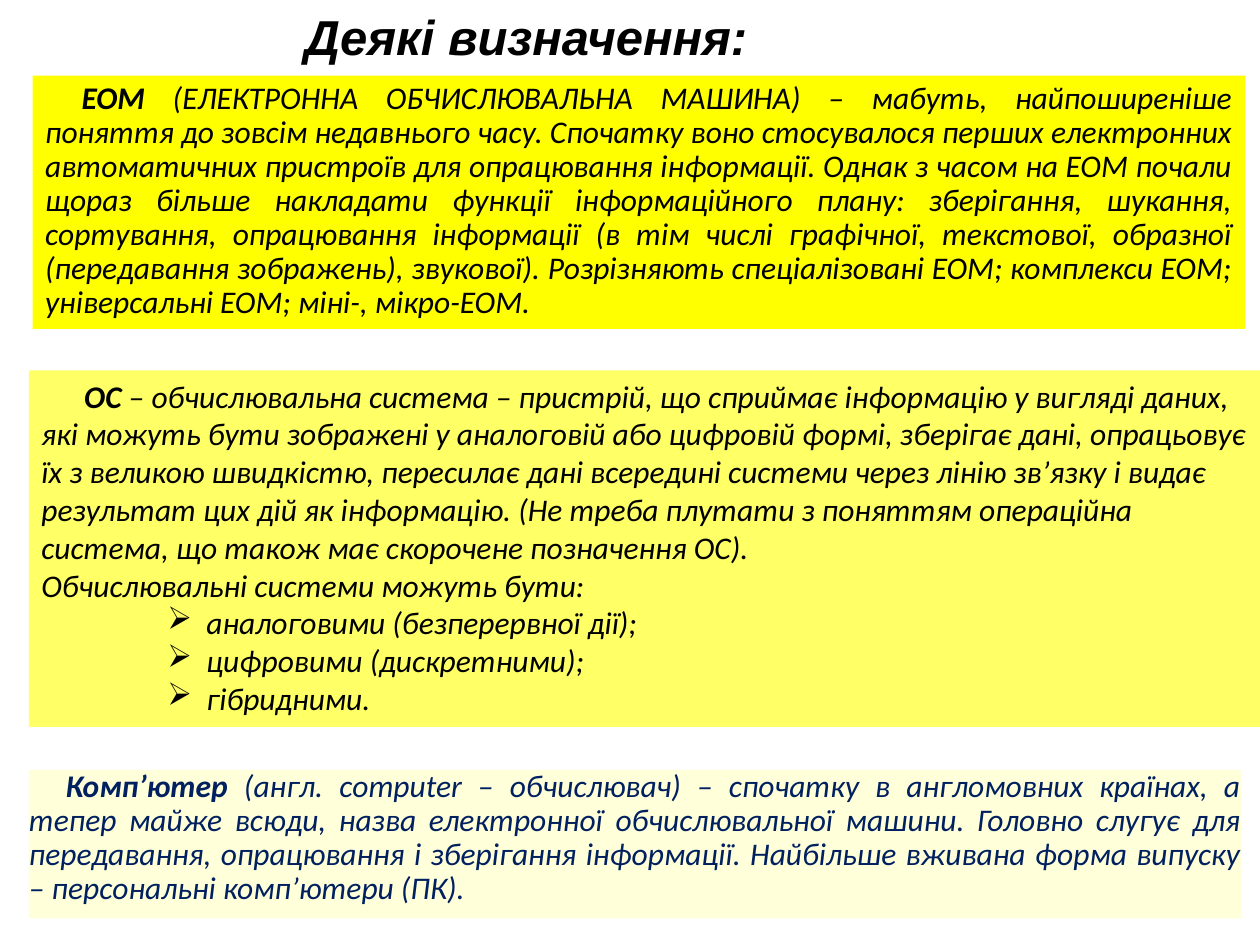
from lxml import etree
from pptx import Presentation
from pptx.dml.color import RGBColor
from pptx.enum.shapes import MSO_SHAPE
from pptx.enum.text import MSO_ANCHOR, PP_ALIGN
from pptx.oxml.ns import qn
from pptx.util import Inches, Pt

RECT = MSO_SHAPE.RECTANGLE
TOP = MSO_ANCHOR.TOP
LEFT, JUSTIFY = PP_ALIGN.LEFT, PP_ALIGN.JUSTIFY

COLORS = {
    "black": "000000",
    "navy": "002060",
    "yellow": "FFFF00",
    "lemon": "FFFF66",
    "cream": "FFFFD9",
}

# Paragraph formats: alignment, line spacing, left margin, first-line indent, bullet
JUSTIFIED = dict(align=JUSTIFY, spacing=0.9, margin=0, indent=0.29, bullet=None)
OPENING = dict(align=LEFT, spacing=1.0, margin=0, indent=0.34, bullet=None)
PLAIN = dict(OPENING, indent=0)
BULLETED = dict(OPENING, margin=1.31, indent=-0.31, bullet="➢")


def add_paragraphs(tf, paragraphs, color, size=18, font="Calibri"):
    """Fill a text frame; each paragraph is (format, bold term, regular text)."""
    for i, (fmt, term, text) in enumerate(paragraphs):
        p = tf.paragraphs[0] if i == 0 else tf.add_paragraph()
        p.alignment = fmt["align"]
        p.line_spacing = fmt["spacing"]
        pPr = p._p.get_or_add_pPr()
        pPr.set("marL", str(Inches(fmt["margin"])))
        pPr.set("indent", str(Inches(fmt["indent"])))
        if fmt["bullet"]:
            etree.SubElement(pPr, qn("a:buChar")).set("char", fmt["bullet"])
        for content, bold in ((term, True), (text, False)):
            if not content:
                continue
            r = p.add_run()
            r.text = content
            style = dict(name=font, size=Pt(size), bold=bold, italic=True)
            for name, value in style.items():
                setattr(r.font, name, value)
            r.font.color.rgb = RGBColor.from_string(COLORS[color])


prs = Presentation()
prs.slide_width, prs.slide_height = Inches(10), Inches(7.5)
s = prs.slides.add_slide(prs.slide_layouts[6])

# Title
title = s.shapes.add_textbox(Inches(2.32), Inches(0), Inches(5.51), Inches(0.57))
title.text_frame.word_wrap = True
add_paragraphs(title.text_frame, [(PLAIN, "Деякі визначення:", "")],
               "black", size=28, font="Arial")

# Definitions: box, fill, text colour, side and top insets, paragraphs
definitions = [
    ((0.26, 0.6, 9.62, 2.01), "yellow", "black", (0.1, 0.05), [
        (JUSTIFIED, "ЕОМ",
         " (ЕЛЕКТРОННА ОБЧИСЛЮВАЛЬНА МАШИНА) – мабуть, найпоширеніше поняття "
         "до зовсім недавнього часу. Спочатку воно стосувалося перших "
         "електронних автоматичних пристроїв для опрацювання інформації. "
         "Однак з часом на ЕОМ почали щораз більше накладати функції "
         "інформаційного плану: зберігання, шукання, сортування, опрацювання "
         "інформації (в тім числі графічної, текстової, образної (передавання "
         "зображень), звукової). Розрізняють спеціалізовані ЕОМ; комплекси "
         "ЕОМ; універсальні ЕОМ; міні-, мікро-ЕОМ."),
    ]),
    ((0.23, 2.94, 9.78, 2.83), "lemon", "black", (0.1, 0.05), [
        (OPENING, "ОС ",
         "– обчислювальна система – пристрій, що сприймає інформацію у вигляді "
         "даних, які можуть бути зображені у аналоговій або цифровій формі, "
         "зберігає дані, опрацьовує їх з великою швидкістю, пересилає дані "
         "всередині системи через лінію зв’язку і видає результат цих дій як "
         "інформацію. (Не треба плутати з поняттям операційна система, що "
         "також має скорочене позначення ОС)."),
        (PLAIN, "", "Обчислювальні системи можуть бути:"),
        (BULLETED, "", "аналоговими (безперервної дії);"),
        (BULLETED, "", "цифровими (дискретними);"),
        (BULLETED, "", "гібридними."),
    ]),
    ((0.23, 6.11, 9.62, 1.18), "cream", "navy", (0, 0), [
        (JUSTIFIED, "Комп’ютер",
         " (англ. сomputer – обчислювач) – спочатку в англомовних країнах, а "
         "тепер майже всюди, назва електронної обчислювальної машини. Головно "
         "слугує для передавання, опрацювання і зберігання інформації. "
         "Найбільше вживана форма випуску – персональні комп’ютери (ПК)."),
    ]),
]

for box, fill, color, (side, top), paragraphs in definitions:
    sp = s.shapes.add_shape(RECT, *map(Inches, box))
    sp.shadow.inherit = False
    sp.fill.solid()
    sp.fill.fore_color.rgb = RGBColor.from_string(COLORS[fill])
    sp.line.fill.background()
    tf = sp.text_frame
    frame = dict(word_wrap=True, vertical_anchor=TOP,
                 margin_left=Inches(side), margin_right=Inches(side),
                 margin_top=Inches(top), margin_bottom=Inches(top))
    for name, value in frame.items():
        setattr(tf, name, value)
    add_paragraphs(tf, paragraphs, color)

prs.save("out.pptx")
